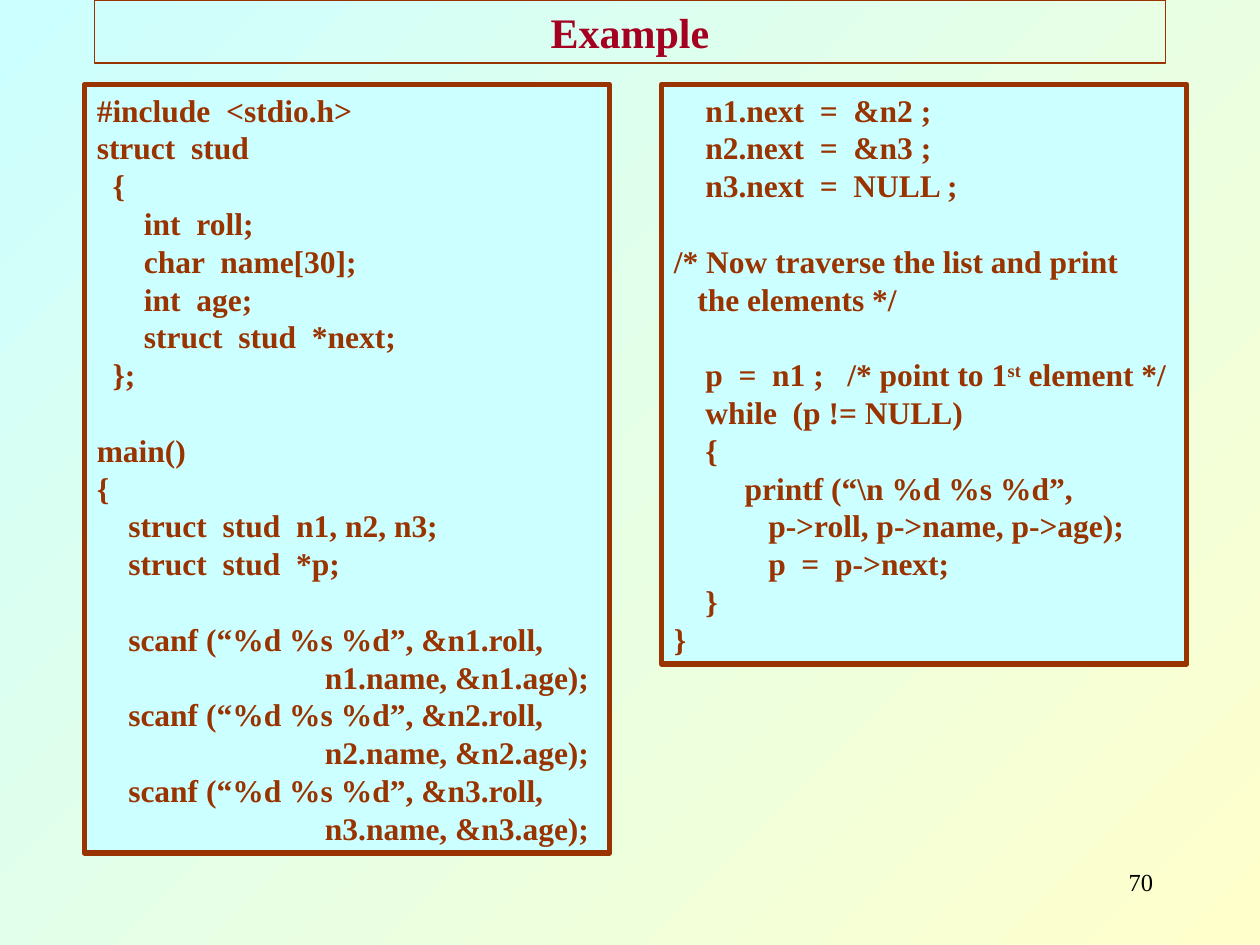
from dataclasses import dataclass

from pptx import Presentation
from pptx.dml.color import RGBColor
from pptx.enum.shapes import MSO_SHAPE
from pptx.enum.text import MSO_ANCHOR, PP_ALIGN
from pptx.util import Inches, Pt

RECTANGLE = MSO_SHAPE.RECTANGLE
TOP, MIDDLE = MSO_ANCHOR.TOP, MSO_ANCHOR.MIDDLE
LEFT, CENTER, RIGHT = PP_ALIGN.LEFT, PP_ALIGN.CENTER, PP_ALIGN.RIGHT


@dataclass(frozen=True)
class Theme:
    font: str = "Times New Roman"
    title_color: str = "A50021"
    code_color: str = "993300"
    number_color: str = "000000"
    panel_fill: str = "CCFFFF"
    background: tuple = ("FFFFCC", "CCFFFF")
    title_size: float = 24
    code_size: float = 18
    number_size: float = 14
    code_leading: float = 21.6


@dataclass(frozen=True)
class CodePanel:
    left: float
    code: str


THEME = Theme()
PANEL_TOP, PANEL_WIDTH, PANEL_PADDING = 0.67, 4.17, 0.1
SUPERSCRIPT_MARK = "^"

PANELS = (
    CodePanel(0.67, """#include  <stdio.h>
struct  stud
  {
      int  roll;
      char  name[30];
      int  age;
      struct  stud  *next;
  };

main()
{
    struct  stud  n1, n2, n3;
    struct  stud  *p;

    scanf (“%d %s %d”, &n1.roll,
                             n1.name, &n1.age);
    scanf (“%d %s %d”, &n2.roll,
                             n2.name, &n2.age);
    scanf (“%d %s %d”, &n3.roll,
                             n3.name, &n3.age);"""),
    # Text between two superscript marks is raised
    CodePanel(5.25, r"""    n1.next  =  &n2 ;
    n2.next  =  &n3 ;
    n3.next  =  NULL ;

/* Now traverse the list and print
   the elements */

    p  =  n1 ;   /* point to 1^st^ element */
    while  (p != NULL)
    {
         printf (“\n %d %s %d”,
            p->roll, p->name, p->age);
            p  =  p->next;
    }
}"""),
)


def add_box(slide, left: float, top: float, width: float, height: float,
            *, line_width: float, fill: str | None = None):
    shape = slide.shapes.add_shape(
        RECTANGLE, Inches(left), Inches(top), Inches(width), Inches(height))
    shape.shadow.inherit = False
    if fill:
        shape.fill.solid()
        shape.fill.fore_color.rgb = RGBColor.from_string(fill)
    else:
        shape.fill.background()
    shape.line.color.rgb = RGBColor.from_string(THEME.code_color)
    shape.line.width = Pt(line_width)
    return shape


def write_text(shape, text: str, *, size: float, color: str, bold: bool = False,
               align=LEFT, anchor=TOP, leading: float | None = None) -> None:
    """Write one paragraph per line; an empty line becomes space before the next."""
    frame = shape.text_frame
    frame.word_wrap = True
    frame.vertical_anchor = anchor
    paragraph, gap = None, 0
    for line in text.split("\n"):
        if not line:
            gap += leading or size
            continue
        paragraph = frame.add_paragraph() if paragraph else frame.paragraphs[0]
        paragraph.alignment = align
        if leading:
            paragraph.line_spacing = Pt(leading)
        if gap:
            paragraph.space_before = Pt(gap)
            gap = 0
        for index, part in enumerate(line.split(SUPERSCRIPT_MARK)):
            run = paragraph.add_run()
            run.text = part
            run.font.name = THEME.font
            run.font.size = Pt(size)
            run.font.bold = bold
            run.font.color.rgb = RGBColor.from_string(color)
            if index % 2:
                run.font._element.set("baseline", "30000")


def add_code_panel(slide, panel: CodePanel) -> None:
    line_count = len(panel.code.split("\n"))
    height = line_count * THEME.code_leading / 72 + PANEL_PADDING
    shape = add_box(slide, panel.left, PANEL_TOP, PANEL_WIDTH, height,
                    line_width=3, fill=THEME.panel_fill)
    write_text(shape, panel.code, size=THEME.code_size, color=THEME.code_color,
               bold=True, leading=THEME.code_leading)


def set_background(slide) -> None:
    fill = slide.background.fill
    fill.gradient()
    fill.gradient_angle = 135
    for stop, position, color in zip(fill.gradient_stops, (0, 1), THEME.background):
        stop.position = position
        stop.color.rgb = RGBColor.from_string(color)


def main() -> None:
    presentation = Presentation()
    presentation.slide_width, presentation.slide_height = Inches(10), Inches(7.5)
    slide = presentation.slides.add_slide(presentation.slide_layouts[6])
    set_background(slide)

    # Title
    title = add_box(slide, 0.75, 0, 8.5, 0.5, line_width=0.75)
    write_text(title, "Example", size=THEME.title_size, color=THEME.title_color,
               bold=True, align=CENTER, anchor=MIDDLE)

    # Code listing in two columns
    for panel in PANELS:
        add_code_panel(slide, panel)

    # Slide number
    number = slide.shapes.add_textbox(
        Inches(7.17), Inches(6.83), Inches(2.08), Inches(0.5))
    write_text(number, "70", size=THEME.number_size, color=THEME.number_color,
               align=RIGHT)

    presentation.save("out.pptx")


if __name__ == "__main__":
    main()
